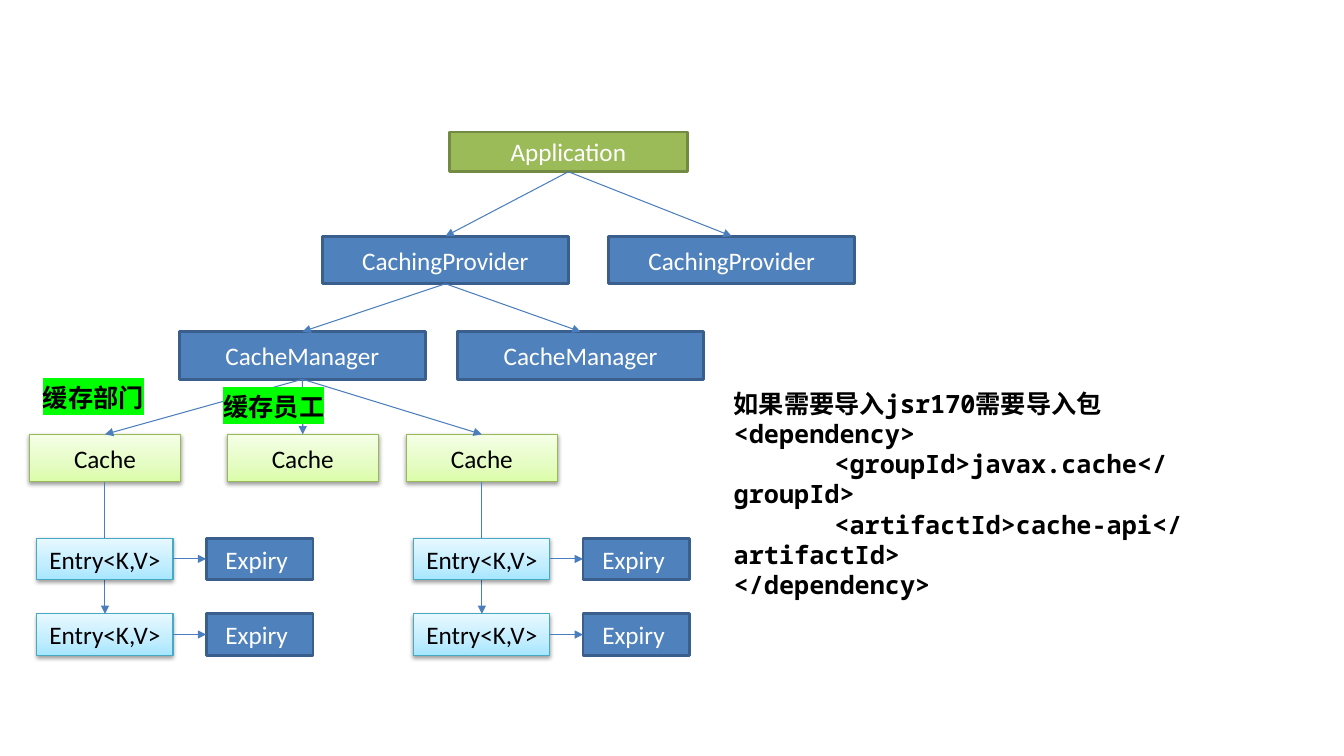
from copy import deepcopy

from pptx import Presentation
from pptx.dml.color import RGBColor
from pptx.enum.shapes import MSO_CONNECTOR as CONN, MSO_SHAPE as SHAPE
from pptx.enum.text import MSO_ANCHOR as ANCHOR, PP_ALIGN as ALIGN
from pptx.oxml import parse_xml
from pptx.oxml.ns import nsdecls, qn
from pptx.util import Pt

WHITE = RGBColor(0xFF, 0xFF, 0xFF)
BLACK = RGBColor(0, 0, 0)
BLUE = RGBColor(0x4F, 0x81, 0xBD)
BLUE_EDGE = RGBColor(0x3A, 0x5F, 0x8C)
GREEN = RGBColor(0x9B, 0xBB, 0x59)
GREEN_EDGE = RGBColor(0x73, 0x8A, 0x42)
LIME_EDGE = RGBColor(0x98, 0xB9, 0x55)
LIME_STOPS = (RGBColor(0xDA, 0xFD, 0xA7), RGBColor(0xE4, 0xFC, 0xC2),
              RGBColor(0xF5, 0xFF, 0xE7))
AQUA_EDGE = RGBColor(0x46, 0xAA, 0xC5)
AQUA_STOPS = (RGBColor(0xA7, 0xE6, 0xFF), RGBColor(0xC1, 0xED, 0xFF),
              RGBColor(0xE7, 0xF8, 0xFF))
ARROW = RGBColor(0x4B, 0x7E, 0xBC)
HIGHLIGHT = RGBColor(0, 0xFF, 0)

TOP, LEFT, BOTTOM, RIGHT = range(4)
NOTE = ("如果需要导入jsr170需要导入包",
        "<dependency>",
        "\t<groupId>javax.cache</groupId>",
        "\t<artifactId>cache-api</artifactId>",
        "</dependency>")


def style_run(r, font, color, bold=False):
    r.font.size = Pt(18)
    r.font.name = font
    r.font.bold = bold
    r.font.color.rgb = color


def add_box(slide, text, cx, y, w, h, edge, line_width, color):
    """Rectangle centred on cx, with one line of centred text."""
    sp = slide.shapes.add_shape(SHAPE.RECTANGLE, Pt(cx - w / 2), Pt(y), Pt(w), Pt(h))
    sp.shadow.inherit = False
    sp.line.color.rgb = edge
    sp.line.width = Pt(line_width)
    tf = sp.text_frame
    tf.vertical_anchor = ANCHOR.MIDDLE
    tf.text = text
    p = tf.paragraphs[0]
    p.alignment = ALIGN.CENTER
    style_run(p.runs[0], "Calibri", color)
    return sp


def add_solid_box(slide, text, cx, y, w, h, fill=BLUE, edge=BLUE_EDGE):
    sp = add_box(slide, text, cx, y, w, h, edge, 2, WHITE)
    sp.fill.solid()
    sp.fill.fore_color.rgb = fill
    return sp


def add_soft_box(slide, text, cx, y, w, h, stops, edge):
    """Box with a three-stop gradient and a soft shadow."""
    sp = add_box(slide, text, cx, y, w, h, edge, 0.75, BLACK)
    sp.fill.gradient()
    sp.fill.gradient_angle = 90
    stop_list = sp.element.spPr.find(".//" + qn("a:gsLst"))
    stop_list.insert(1, deepcopy(stop_list[0]))
    for stop, color, place in zip(sp.fill.gradient_stops, stops, (0, 0.35, 1)):
        stop.color.rgb = color
        stop.position = place
    sp.element.spPr.find(qn("a:effectLst")).append(parse_xml(
        f'<a:outerShdw {nsdecls("a")} blurRad="{Pt(3.1)}" dist="{Pt(1.6)}" '
        'dir="5400000" rotWithShape="0"><a:srgbClr val="000000">'
        '<a:alpha val="38000"/></a:srgbClr></a:outerShdw>'))
    return sp


def add_arrow(slide, start, end, start_side=BOTTOM, end_side=TOP):
    cn = slide.shapes.add_connector(CONN.STRAIGHT, 0, 0, 0, 0)
    cn.begin_connect(start, start_side)
    cn.end_connect(end, end_side)
    cn.line.color.rgb = ARROW
    cn.line.width = Pt(0.75)
    cn.line._get_or_add_ln().append(
        parse_xml(f'<a:tailEnd {nsdecls("a")} type="triangle"/>'))
    cn.element.spPr.append(parse_xml(f'<a:effectLst {nsdecls("a")}/>'))


def add_text(slide, lines, x, y, w, h, wrap=False, highlight=None):
    tf = slide.shapes.add_textbox(Pt(x), Pt(y), Pt(w), Pt(h)).text_frame
    tf.word_wrap = wrap
    for i, line in enumerate(lines):
        p = tf.paragraphs[0] if i == 0 else tf.add_paragraph()
        p.text = line
        if line.startswith("\t"):
            p._p.get_or_add_pPr().append(parse_xml(
                f'<a:tabLst {nsdecls("a")}><a:tab pos="{Pt(72)}" algn="l"/></a:tabLst>'))
        r = p.runs[0]
        style_run(r, "Noto Sans Mono", BLACK, bold=True)
        if highlight is not None:
            r.font._element.find(qn("a:solidFill")).addnext(parse_xml(
                f'<a:highlight {nsdecls("a")}><a:srgbClr val="{highlight}"/></a:highlight>'))


def add_entry(slide, cx, y):
    return add_soft_box(slide, "Entry<K,V>", cx, y, 97.2, 29.5, AQUA_STOPS, AQUA_EDGE)


def add_entries(slide, cache, cx):
    """Two chained entries below a cache, each with its expiry."""
    first_y, last_y = 384.5, 438.5
    last = add_entry(slide, cx, last_y)
    add_arrow(slide, cache, last)  # passes behind the first entry
    first = add_entry(slide, cx, first_y)
    for entry, y in ((first, first_y), (last, last_y)):
        expiry = add_solid_box(slide, "Expiry ", cx + 110.4, y, 76.3, 29.5)
        add_arrow(slide, entry, expiry, RIGHT, LEFT)


def main():
    prs = Presentation()
    prs.slide_width, prs.slide_height = Pt(960), Pt(540)
    slide = prs.slides.add_slide(prs.slide_layouts[6])

    # Application, providers and managers
    app = add_solid_box(slide, "Application", 406, 94.3, 170, 28.4, GREEN, GREEN_EDGE)
    providers = [add_solid_box(slide, "CachingProvider", cx, 168.7, 175.7, 34)
                 for cx in (318.2, 522.7)]
    managers = [add_solid_box(slide, "CacheManager", cx, 236.9, 175.7, 34)
                for cx in (216, 414.7)]

    # Caches
    cache_centres = (75, 216.3, 344.2)
    caches = [add_soft_box(slide, "Cache", cx, 310.3, 108, 34, LIME_STOPS, LIME_EDGE)
              for cx in cache_centres]

    # Tree arrows
    for parent, children in ((app, providers), (providers[0], managers),
                             (managers[0], caches)):
        for child in children:
            add_arrow(slide, parent, child)

    # Entries below the outer caches
    for i in (0, 2):
        add_entries(slide, caches[i], cache_centres[i])

    # Dependency note and cache labels
    add_text(slide, NOTE, 517, 273.6, 372.2, 116.6, wrap=True)
    add_text(slide, ["缓存部门"], 23.6, 269.3, 87, 29, highlight=HIGHLIGHT)
    add_text(slide, ["缓存员工"], 152.5, 275.8, 87, 29, highlight=HIGHLIGHT)

    prs.save("out.pptx")


if __name__ == "__main__":
    main()
